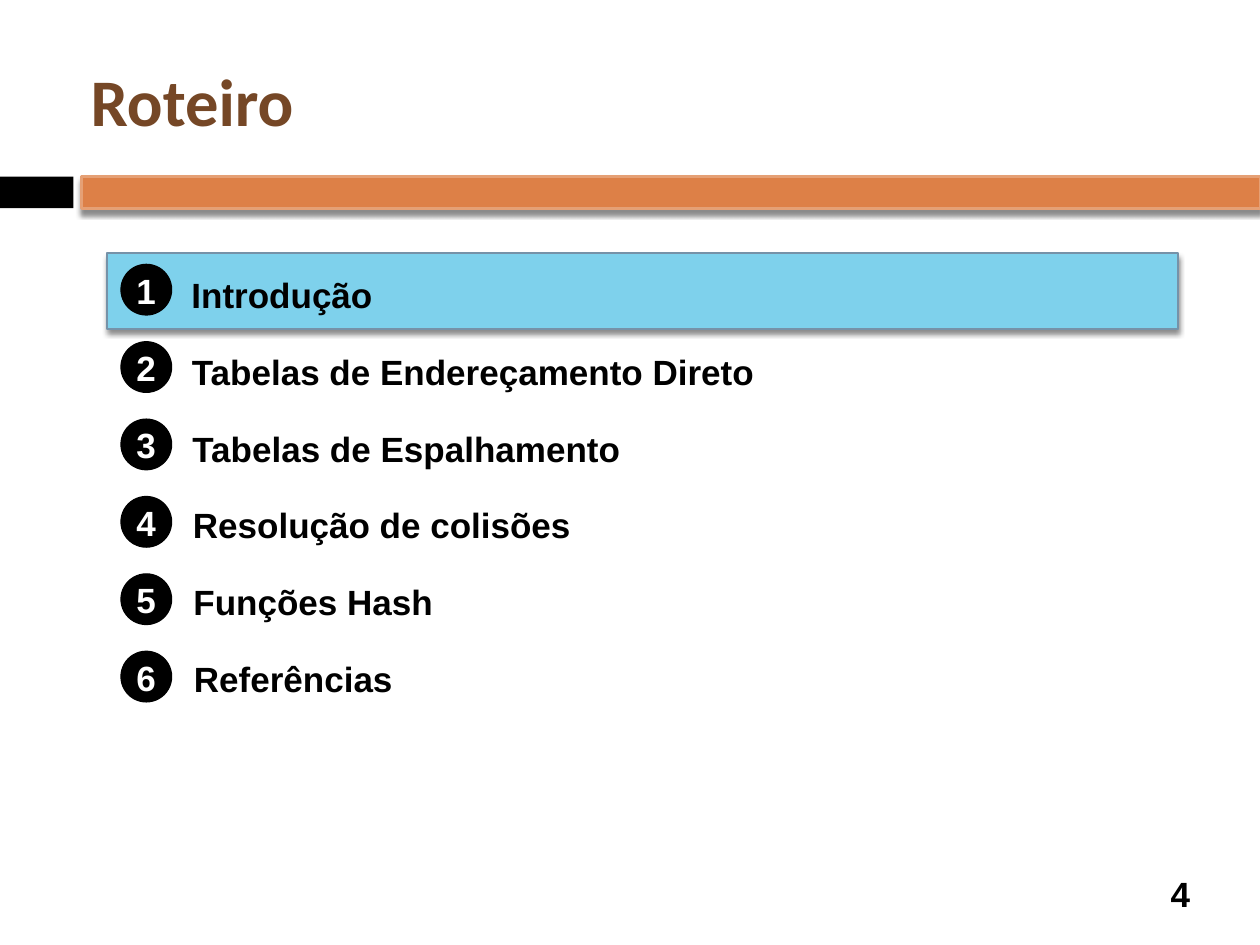
import pptx
import pptx.util
import pptx.dml.color
import pptx.enum.shapes
import pptx.enum.text
import pptx.oxml

Cm, Pt = pptx.util.Cm, pptx.util.Pt
Kind = pptx.enum.shapes.MSO_SHAPE
Align = pptx.enum.text.PP_ALIGN
Anchor = pptx.enum.text.MSO_ANCHOR
Fit = pptx.enum.text.MSO_AUTO_SIZE
hues = {"black": "000000", "white": "FFFFFF", "brown": "754726",
        "rust": "DD8047", "peach": "E5A075", "sky": "7ED1EC", "steel": "7692A8"}
shade = """<a:effectLst xmlns:a="http://schemas.openxmlformats.org/drawingml/2006/main">
<a:outerShdw blurRad="38100" dist="30480" dir="5400000" rotWithShape="0">
<a:srgbClr val="000000"><a:alpha val="45000"/></a:srgbClr></a:outerShdw></a:effectLst>"""


def draw(home, kind, box, fill, line=None, width=0.75, shadow=False):
    shape = home.add_shape(kind, *map(Cm, box))
    shape.shadow.inherit = False
    shape.fill.solid()
    shape.fill.fore_color.rgb = pptx.dml.color.RGBColor.from_string(hues[fill])
    if line:
        shape.line.color.rgb = pptx.dml.color.RGBColor.from_string(hues[line])
        shape.line.width = Pt(width)
    else:
        shape.line.fill.background()
    if shadow:
        props = shape.element.spPr
        props.replace(props[-1], pptx.oxml.parse_xml(shade))
    return shape


def write(home, text, box, hue="black", size=20, face="Arial",
          align=Align.LEFT, anchor=Anchor.MIDDLE, wrap=False):
    frame = home.add_textbox(*map(Cm, box)).text_frame
    frame.margin_left = frame.margin_right = Cm(0.13)
    frame.margin_top = frame.margin_bottom = Cm(0.13)
    frame.word_wrap = wrap
    frame.auto_size = Fit.NONE if wrap else Fit.SHAPE_TO_FIT_TEXT
    frame.vertical_anchor = anchor
    para = frame.paragraphs[0]
    para.text = text
    para.alignment = align
    font = para.font
    font.name, font.size, font.bold = face, Pt(size), True
    font.color.rgb = pptx.dml.color.RGBColor.from_string(hues[hue])


deck = pptx.Presentation()
deck.slide_width, deck.slide_height = Cm(25.4), Cm(19.05)
slide = deck.slides.add_slide(deck.slide_layouts[6])
shapes = slide.shapes

# Title and the bars below it
draw(shapes, Kind.RECTANGLE, (0, 3.56, 1.48, 0.64), "black")
draw(shapes, Kind.RECTANGLE, (1.65, 3.56, 23.75, 0.64), "rust", "peach", 1.5, True)
write(shapes, "Roteiro", (1.7, 0.64, 22.66, 2.74), "brown", 38, "Calibri", wrap=True)

# Highlight of the current topic
mark = draw(shapes, Kind.ROUNDED_RECTANGLE, (2.16, 5.1, 21.59, 1.53),
            "sky", "steel", 0.79, True)
mark.adjustments[0] = 0

# Numbered topics, each with the width of its label
topics = [("Introdução", 3.94), ("Tabelas de Endereçamento Direto", 11.61),
          ("Tabelas de Espalhamento", 8.89), ("Resolução de colisões", 7.9),
          ("Funções Hash", 5.11), ("Referências", 4.29)]
for row, (topic, width) in enumerate(topics):
    top = 5.33 + 1.56 * row
    badge = shapes.add_group_shape().shapes
    draw(badge, Kind.OVAL, (2.44, top, 1.02, 1.02), "black", "black")
    write(badge, str(row + 1), (2.6, top, 0.69, 1.04), "white", align=Align.CENTER)
    write(shapes, topic, (3.73 + 0.01 * row, 5.38 + 1.55 * row, width, 1.04),
          anchor=Anchor.TOP)

# Page number
write(shapes, "4", (23.06, 17.5, 1.47, 1.04), align=Align.CENTER, wrap=True)

deck.save("out.pptx")
